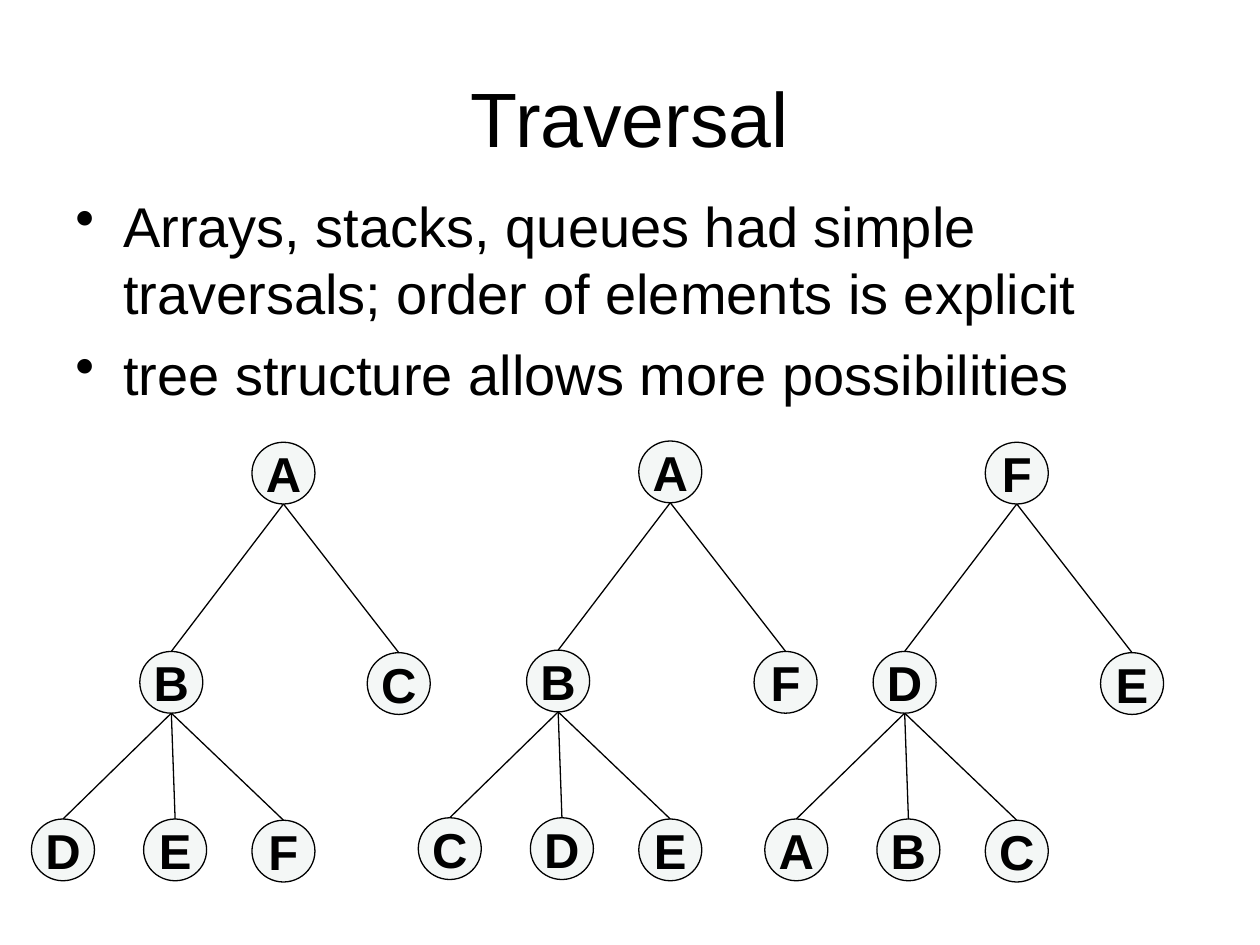
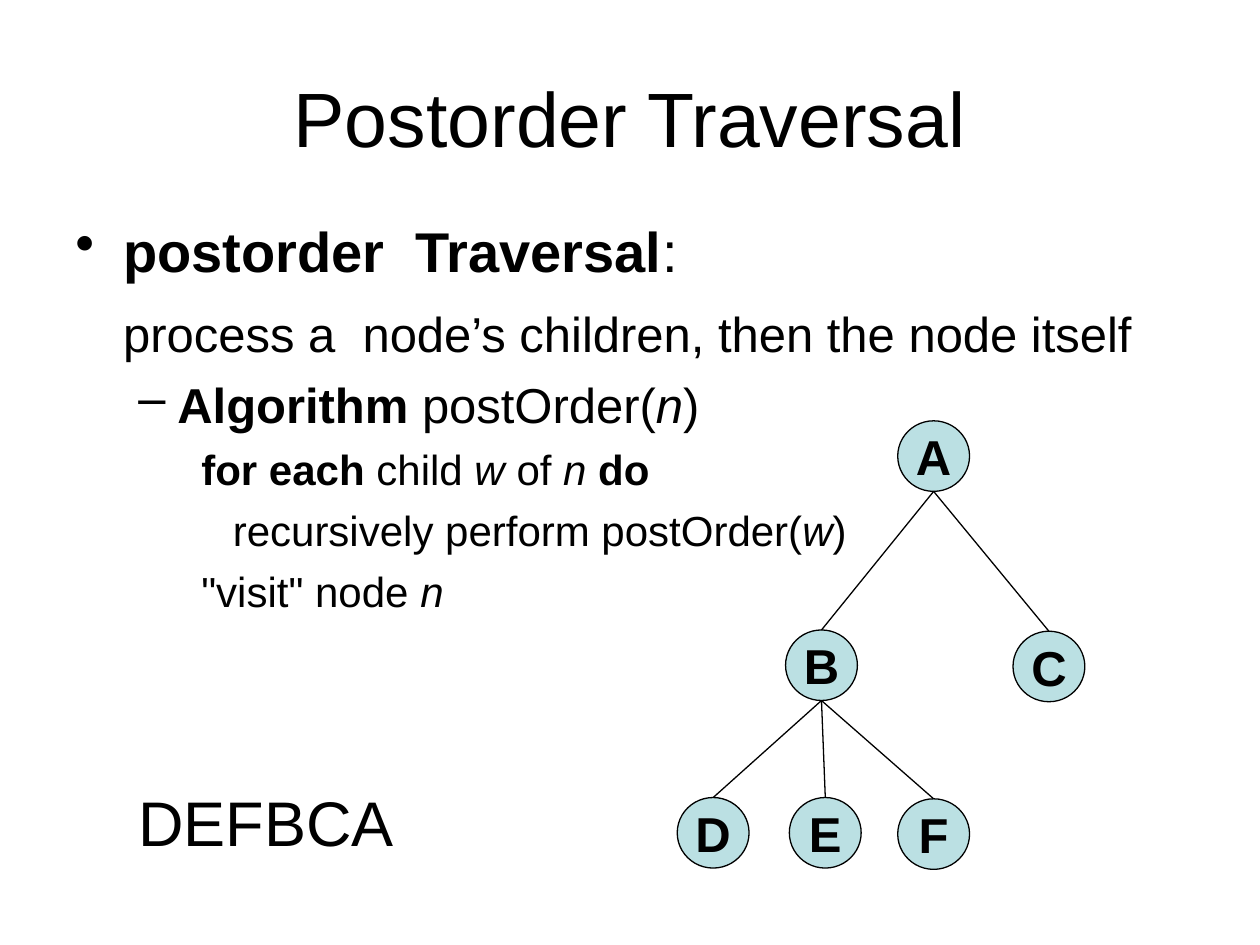
from lxml.etree import SubElement
from pptx import Presentation
from pptx.dml.color import RGBColor
from pptx.enum.shapes import MSO_CONNECTOR, MSO_SHAPE
from pptx.enum.text import MSO_ANCHOR, PP_ALIGN
from pptx.oxml.ns import qn
from pptx.util import Inches, Pt

BLACK = RGBColor(0x00, 0x00, 0x00)
PALE_GREY = RGBColor(0xCF, 0xDB, 0xD8)
PALE_TEAL = RGBColor(0xBB, 0xE0, 0xE3)

# The slide is a grid of 100 columns by 75 rows
COLUMNS, ROWS = 100, 75

# Node tops relative to the root's top centre: column, row, parent's index
TREE = [(0, 0, None), (-8.9, 16.6, 0), (9.15, 16.7, 0),
        (-17.5, 29.9, 1), (-8.6, 29.9, 1), (0, 30, 1)]

# Paragraph levels: bullet, left margin and first-line indent in columns
LEVELS = {
    "point": dict(bullet="•", margin=3.8, indent=-3.8, size=32, before=8),
    "plain": dict(bullet=None, margin=3.8, indent=0, size=28, before=11),
    "dash": dict(bullet="–", margin=8.1, indent=-3.1, size=28, before=7),
    "code": dict(bullet=None, margin=10, indent=0, size=24, before=6),
    "inner code": dict(bullet=None, margin=12.5, indent=0, size=24, before=6),
}


class Deck:
    font = "Arial"

    def __init__(self):
        self.prs = Presentation()
        self.prs.slide_width, self.prs.slide_height = Inches(10), Inches(7.5)
        self.s = None

    def x(self, columns):
        return round(self.prs.slide_width * columns / COLUMNS)

    def y(self, rows):
        return round(self.prs.slide_height * rows / ROWS)

    def box(self, left, top, width, height):
        return self.x(left), self.y(top), self.x(width), self.y(height)

    def run(self, p, text, size, **style):
        r = p.add_run()
        r.text = text
        for name, value in dict(name=self.font, size=Pt(size), **style).items():
            setattr(r.font, name, value)
        r.font.color.rgb = BLACK

    def text(self, text, box, size, wrap=True, align=PP_ALIGN.LEFT,
             anchor=MSO_ANCHOR.TOP):
        tf = self.s.shapes.add_textbox(*self.box(*box)).text_frame
        tf.word_wrap, tf.vertical_anchor = wrap, anchor
        p = tf.paragraphs[0]
        p.alignment = align
        self.run(p, text, size)

    def slide(self, title):
        self.s = self.prs.slides.add_slide(self.prs.slide_layouts[6])
        self.text(title, (5, 3, 90, 12.5), 44, align=PP_ALIGN.CENTER,
                  anchor=MSO_ANCHOR.MIDDLE)

    def body(self, top, paragraphs):
        """Each paragraph is a level and its runs: (text, style letters)."""
        tf = self.s.shapes.add_textbox(*self.box(5, top, 90, 49.5)).text_frame
        tf.word_wrap = True
        for i, (level, runs) in enumerate(paragraphs):
            p = tf.add_paragraph() if i else tf.paragraphs[0]
            look = LEVELS[level]
            p.space_before = Pt(look["before"] if i else 0)
            pPr = p._p.get_or_add_pPr()
            pPr.set("marL", str(self.x(look["margin"])))
            pPr.set("indent", str(self.x(look["indent"])))
            if look["bullet"]:
                SubElement(pPr, qn("a:buChar"), char=look["bullet"])
            else:
                SubElement(pPr, qn("a:buNone"))
            for text, style in runs:
                self.run(p, text, look["size"], bold="b" in style,
                         italic="i" in style)

    def edge(self, start, end):
        line = self.s.shapes.add_connector(
            MSO_CONNECTOR.STRAIGHT, self.x(start[0]), self.y(start[1]),
            self.x(end[0]), self.y(end[1]))
        line.line.color.rgb, line.line.width = BLACK, Pt(0.75)
        SubElement(line._element.spPr, qn("a:effectLst"))

    def node(self, letter, centre, top, size, fill, alpha):
        sp = self.s.shapes.add_shape(
            MSO_SHAPE.OVAL, *self.box(centre - size / 2, top, size, size - 0.1))
        sp.shadow.inherit = False
        sp.fill.solid()
        sp.fill.fore_color.rgb = fill
        if alpha < 100:
            color = sp._element.spPr.find(qn("a:solidFill"))[0]
            SubElement(color, qn("a:alpha"), val=str(alpha * 1000))
        sp.line.color.rgb, sp.line.width = BLACK, Pt(0.75)
        tf = sp.text_frame
        for side in ("left", "right", "top", "bottom"):
            setattr(tf, f"margin_{side}", 0)
        tf.word_wrap, tf.vertical_anchor = False, MSO_ANCHOR.MIDDLE
        p = tf.paragraphs[0]
        p.alignment = PP_ALIGN.CENTER
        self.run(p, letter, 28, bold=True)

    def tree(self, letters, centre, top, size, fill, alpha=100):
        tops = [(centre + dx, top + dy) for dx, dy, _ in TREE]
        for letter, (column, row) in zip(letters, tops):
            self.node(letter, column, row, size, fill, alpha)
        for (_, _, parent), end in zip(TREE[1:], tops[1:]):
            column, row = tops[parent]
            self.edge((column, row + size - 0.1), end)


def main():
    deck = Deck()

    # Three orders of visiting the same tree
    deck.slide("Traversal")
    deck.body(14.7, [
        ("point", [("Arrays, stacks, queues had simple traversals; "
                    "order of elements is explicit", "")]),
        ("point", [("tree structure allows more possibilities", "")]),
    ])
    for letters, centre, top in [("ABCDEF", 22.5, 35.1), ("ABFCDE", 53.2, 35),
                                 ("FDEABC", 80.7, 35.1)]:
        deck.tree(letters, centre, top, 5, PALE_GREY, alpha=22)

    # Postorder: algorithm, tree and resulting order
    deck.slide("Postorder Traversal")
    deck.body(16.7, [
        ("point", [("postorder  Traversal", "b"), (":", "")]),
        ("plain", [("process a  node’s children, then the node itself", "")]),
        ("dash", [("Algorithm ", "b"), ("postOrder(", ""), ("n", "i"), (")", "")]),
        ("code", [("for each ", "b"), ("child ", ""), ("w ", "i"), ("of ", ""),
                  ("n ", "i"), ("do", "b")]),
        ("inner code", [("recursively perform postOrder(", ""), ("w", "i"),
                        (")", "")]),
        ("code", [("\"visit\" node ", ""), ("n", "i")]),
    ])
    deck.tree("ABCDEF", 74.1, 33.4, 5.7, PALE_TEAL)
    deck.text("DEFBCA", (10, 61.7, 22.3, 7), 36, wrap=False)

    deck.prs.save("out.pptx")


if __name__ == "__main__":
    main()
